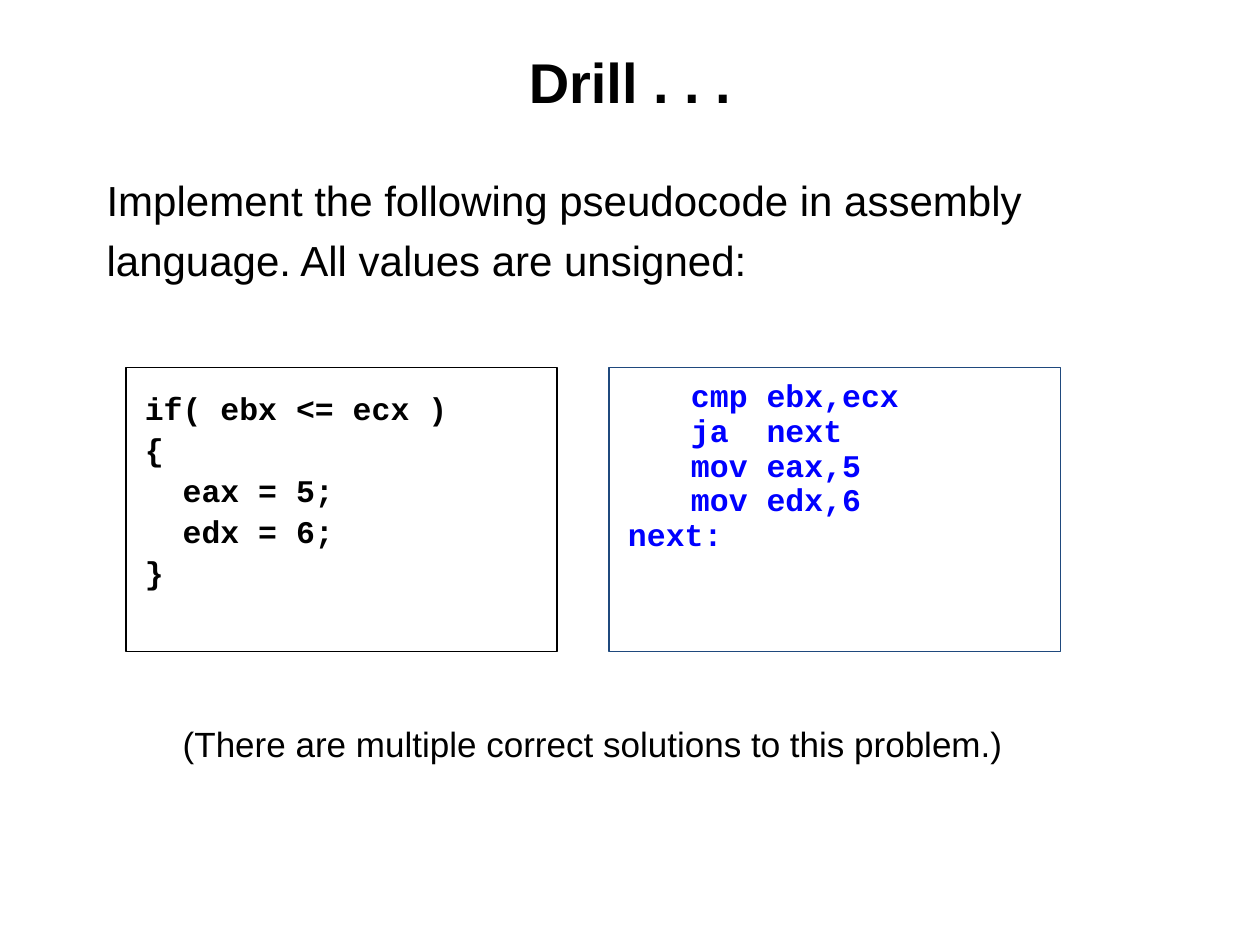
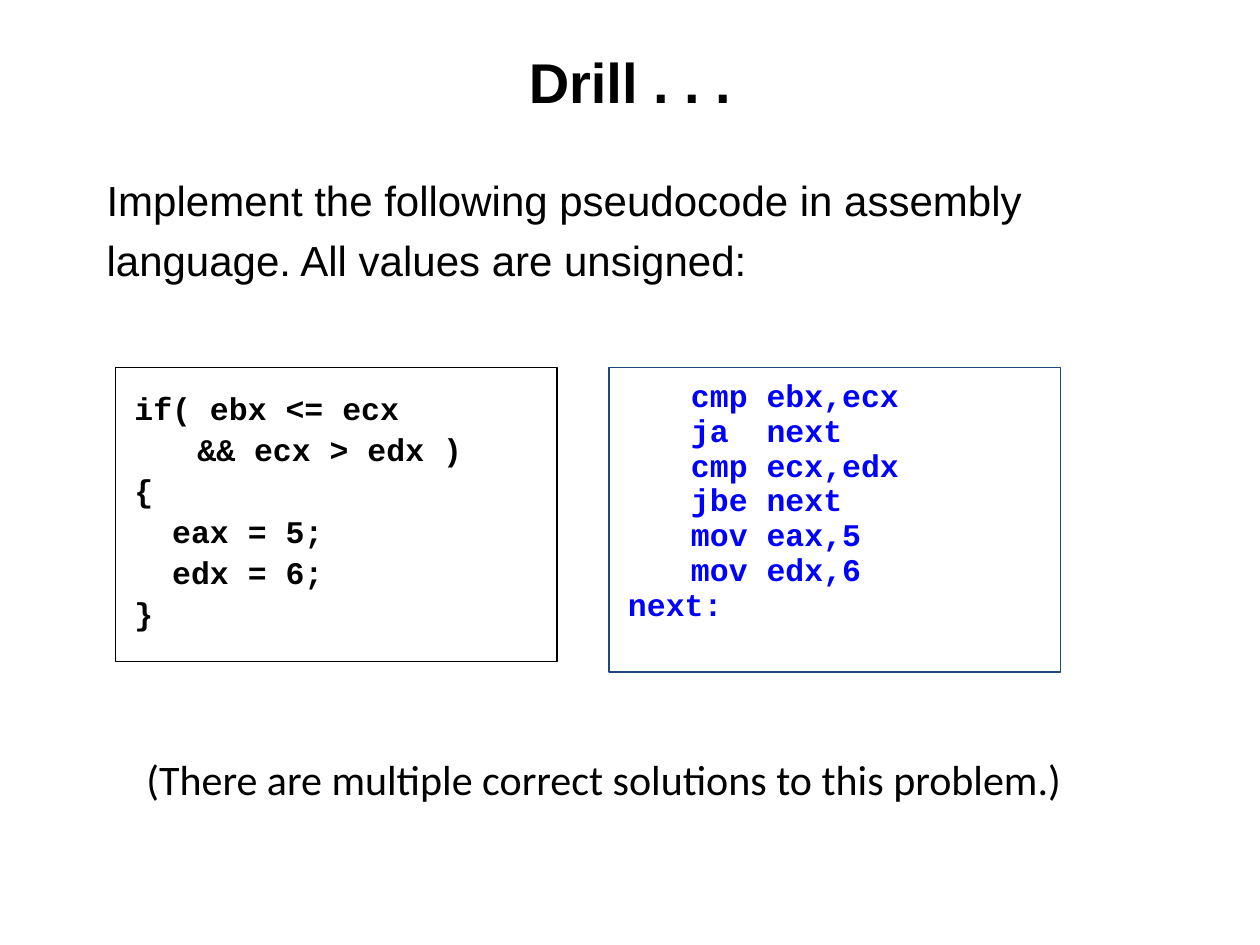
from pptx import Presentation
from pptx.dml.color import RGBColor
from pptx.enum.shapes import MSO_SHAPE
from pptx.enum.text import MSO_ANCHOR, PP_ALIGN
from pptx.util import Cm, Pt

RECT = MSO_SHAPE.RECTANGLE
TOP, MIDDLE = MSO_ANCHOR.TOP, MSO_ANCHOR.MIDDLE
LEFT, CENTER = PP_ALIGN.LEFT, PP_ALIGN.CENTER

TASK = "Implement the following pseudocode in assembly language. All values are unsigned:"
NOTE = "(There are multiple correct solutions to this problem.)"


def color(text):
    return RGBColor.from_string(text)


class Deck:
    black, blue, navy = "000000", "0000FF", "1F497D"
    sans, mono = "Arial", "Courier New"
    step = Cm(1.27)

    def __init__(self):
        self.file = Presentation()
        self.file.slide_width = Cm(25.4)
        self.file.slide_height = Cm(19.05)
        self.slide = None

    def style(self, par, font, size, ink, bold=False, align=LEFT):
        par.alignment = align
        par.font.name = font
        par.font.size = Pt(size)
        par.font.bold = bold
        par.font.color.rgb = color(ink)

    def start(self, title):
        self.slide = self.file.slides.add_slide(self.file.slide_layouts[5])
        shape = self.slide.shapes.title
        shape.left, shape.top = Cm(1.27), Cm(0.43)
        shape.width, shape.height = Cm(22.86), Cm(2.41)
        frame = shape.text_frame
        frame.text = title
        frame.vertical_anchor = MIDDLE
        self.style(frame.paragraphs[0], self.sans, 32, self.black, True, CENTER)

    def label(self, text, box, font, size, pad=0.13, align=LEFT, pitch=None):
        frame = self.slide.shapes.add_textbox(*map(Cm, box)).text_frame
        frame.word_wrap = True
        frame.margin_top = frame.margin_bottom = Cm(pad)
        par = frame.paragraphs[0]
        par.text = text
        par.line_spacing = pitch
        self.style(par, font, size, self.black, align=align)

    def code(self, lines, box, ink, edge, pitch, gap):
        shape = self.slide.shapes.add_shape(RECT, *map(Cm, box))
        shape.shadow.inherit = False
        shape.fill.background()
        shape.line.color.rgb = color(edge)
        shape.line.width = Pt(0.75)
        frame = shape.text_frame
        frame.word_wrap = True
        frame.vertical_anchor = TOP
        frame.margin_left = frame.margin_right = Cm(0.38)
        frame.margin_top = frame.margin_bottom = Cm(0.51)
        for num, line in enumerate(lines):
            par = frame.add_paragraph() if num else frame.paragraphs[0]
            par.text = line.lstrip("\t")
            if line.startswith("\t"):
                props = par._p.get_or_add_pPr()
                props.set("marL", str(self.step))
                props.set("indent", "0")
            par.line_spacing = pitch
            par.space_before = Pt(gap if num else 0)
            self.style(par, self.mono, 18, ink, True)

    def drill(self, test, steps, left, tall, high, note, font, size):
        self.start("Drill . . .")
        self.label(TASK, (1.9, 3.18, 21.6, 3.38), self.sans, 24, pitch=1.2)
        moves = ["mov eax,5", "mov edx,6"]
        answer = ["\t" + step for step in steps + moves] + ["next:"]
        self.code(answer, (12.28, 7.41, 9.1, tall), self.blue, self.navy, 0.5, 9)
        source = test + ["{", "  eax = 5;", "  edx = 6;", "}"]
        self.code(source, (left, 7.41, 11.23 - left, high),
                  self.black, self.black, 0.9, 4)
        self.label(NOTE, note, font, size, pad=0.38, align=CENTER)


def main():
    deck = Deck()
    deck.drill(["if( ebx <= ecx )"], ["cmp ebx,ecx", "ja  next"],
               2.54, 5.72, 5.72, (1.9, 14.18, 20.11, 1.63), deck.sans, 20)
    deck.drill(["if( ebx <= ecx", "\t&& ecx > edx )"],
               ["cmp ebx,ecx", "ja  next", "cmp ecx,edx", "jbe next"],
               2.33, 6.14, 5.93, (2.12, 14.82, 20.11, 1.8), "Calibri", 24)
    deck.file.save("out.pptx")


if __name__ == "__main__":
    main()
